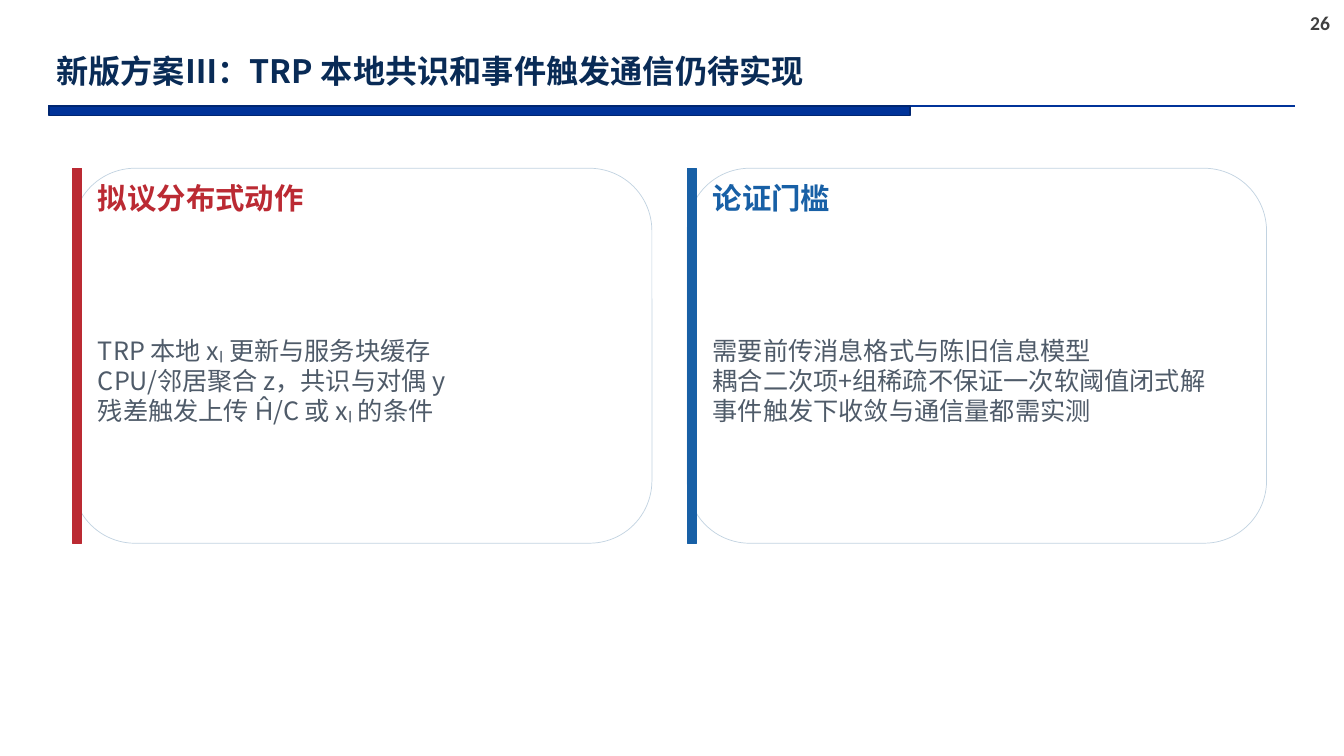
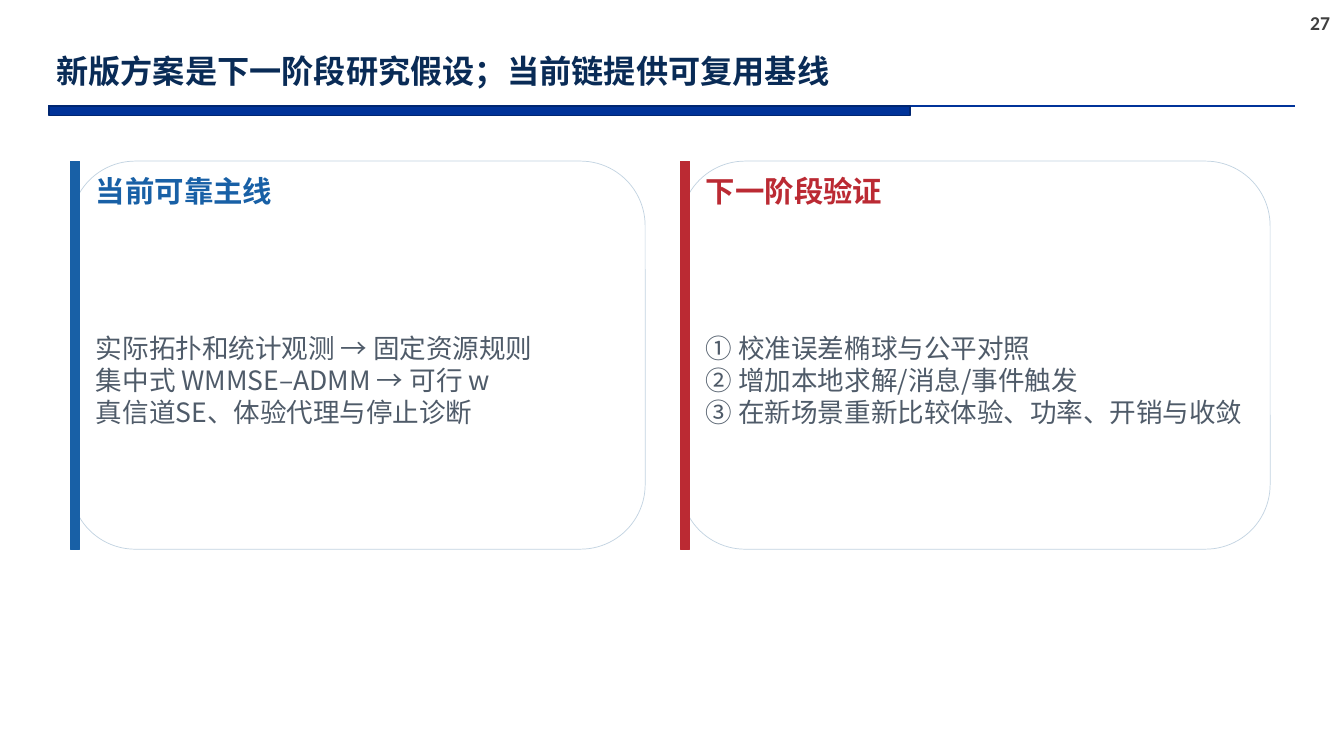
from dataclasses import dataclass

from lxml.etree import SubElement
from pptx import Presentation
from pptx.dml.color import RGBColor
from pptx.enum.shapes import MSO_CONNECTOR, MSO_SHAPE
from pptx.enum.text import MSO_ANCHOR, MSO_AUTO_SIZE
from pptx.oxml.ns import qn
from pptx.util import Cm, Pt


@dataclass(frozen=True)
class Theme:
    red: str = "BB2A33"
    blue: str = "1860A6"
    title: str = "092B56"
    body: str = "4F5B69"
    number: str = "404040"
    band: str = "003399"
    band_edge: str = "002671"
    card: str = "FFFFFF"
    card_edge: str = "C2D3E1"
    text_font: str = "Noto Sans CJK SC"
    number_font: str = "Calibri"
    title_size: int = 23
    heading_size: int = 21
    number_size: int = 14


THEME = Theme()

# Card columns are (left, width) in centimetres.
SLIDES = [
    {
        "number": "26",
        "title": "新版方案Ⅲ：TRP 本地共识和事件触发通信仍待实现",
        "top": 4.24, "height": 9.45, "body_size": 18,
        "columns": [(1.83, 14.6), (17.32, 14.6)],
        "cards": [
            ("拟议分布式动作", THEME.red, [
                "TRP 本地 xₗ 更新与服务块缓存",
                "CPU/邻居聚合 z，共识与对偶 y",
                "残差触发上传 Ĥ/C 或 xₗ 的条件",
            ]),
            ("论证门槛", THEME.blue, [
                "需要前传消息格式与陈旧信息模型",
                "耦合二次项+组稀疏不保证一次软阈值闭式解",
                "事件触发下收敛与通信量都需实测",
            ]),
        ],
    },
    {
        "number": "27",
        "title": "新版方案是下一阶段研究假设；当前链提供可复用基线",
        "top": 4.06, "height": 9.78, "body_size": 19,
        "columns": [(1.78, 14.48), (17.15, 14.86)],
        "cards": [
            ("当前可靠主线", THEME.blue, [
                "实际拓扑和统计观测 → 固定资源规则",
                "集中式 WMMSE–ADMM → 可行 w",
                "真信道SE、体验代理与停止诊断",
            ]),
            ("下一阶段验证", THEME.red, [
                "① 校准误差椭球与公平对照",
                "② 增加本地求解/消息/事件触发",
                "③ 在新场景重新比较体验、功率、开销与收敛",
            ]),
        ],
    },
]


def add_block(slide, preset, box, fill, edge, edge_width):
    block = slide.shapes.add_shape(preset, *map(Cm, box))
    block.shadow.inherit = False
    block.fill.solid()
    block.fill.fore_color.rgb = RGBColor.from_string(fill)
    block.line.color.rgb = RGBColor.from_string(edge)
    block.line.width = Pt(edge_width)


def add_text(slide, box, lines, size, color, bold=False, font=THEME.text_font,
             anchor=MSO_ANCHOR.MIDDLE, inset=None, wrap=True, spacing=None):
    frame = slide.shapes.add_textbox(*map(Cm, box)).text_frame
    frame.word_wrap = wrap
    frame.auto_size = MSO_AUTO_SIZE.SHAPE_TO_FIT_TEXT
    frame.vertical_anchor = anchor
    if inset is not None:
        frame.margin_left = frame.margin_right = Cm(inset)
        frame.margin_top = frame.margin_bottom = Cm(inset)
    frame.text = "\n".join(lines)
    for paragraph in frame.paragraphs:
        paragraph.line_spacing = spacing
        paragraph.font.name = font
        paragraph.font.size = Pt(size)
        paragraph.font.bold = bold
        paragraph.font.color.rgb = RGBColor.from_string(color)
        # Chinese characters take their font from the East Asian slot.
        properties = paragraph.font._element if hasattr(paragraph.font, "_element") else paragraph.font._rPr
        SubElement(properties, qn("a:ea")).set("typeface", font)


def add_header(slide, title, number):
    rule = slide.shapes.add_connector(
        MSO_CONNECTOR.STRAIGHT, Cm(1.22), Cm(2.67), Cm(32.64), Cm(2.67))
    rule.line.color.rgb = RGBColor.from_string(THEME.band)
    rule.line.width = Pt(1.5)
    SubElement(rule._element.spPr, qn("a:effectLst"))
    add_block(slide, MSO_SHAPE.RECTANGLE, (1.24, 2.67, 21.69, 0.25),
              THEME.band, THEME.band_edge, 1)
    add_text(slide, (32.77, 0.15, 1.02, 0.86), [number], THEME.number_size, THEME.number,
             bold=True, font=THEME.number_font, anchor=MSO_ANCHOR.TOP, wrap=False)
    add_text(slide, (1.17, 1.02, 24, 1.65), [title], THEME.title_size, THEME.title,
             bold=True, spacing=0.9)


def add_card(slide, left, top, width, height, heading, accent, lines, body_size):
    """Draw a rounded card with an accent bar, a heading and body lines."""
    add_block(slide, MSO_SHAPE.ROUNDED_RECTANGLE, (left, top, width, height),
              THEME.card, THEME.card_edge, 0.5)
    add_block(slide, MSO_SHAPE.RECTANGLE, (left, top, 0.23, height), accent, accent, 0.5)
    text_left, text_width = left + 0.51, width - 0.87
    add_text(slide, (text_left, top + 0.28, text_width, 0.94), [heading],
             THEME.heading_size, accent, bold=True, inset=0.13)
    add_text(slide, (text_left, top + 1.5, text_width, height - 1.75), lines,
             body_size, THEME.body, inset=0.13)


def main():
    deck = Presentation()
    deck.slide_width, deck.slide_height = Cm(33.87), Cm(19.05)
    for content in SLIDES:
        slide = deck.slides.add_slide(deck.slide_layouts[6])
        add_header(slide, content["title"], content["number"])
        for (left, width), (heading, accent, lines) in zip(content["columns"], content["cards"]):
            add_card(slide, left, content["top"], width, content["height"],
                     heading, accent, lines, content["body_size"])
    deck.save("out.pptx")


if __name__ == "__main__":
    main()
